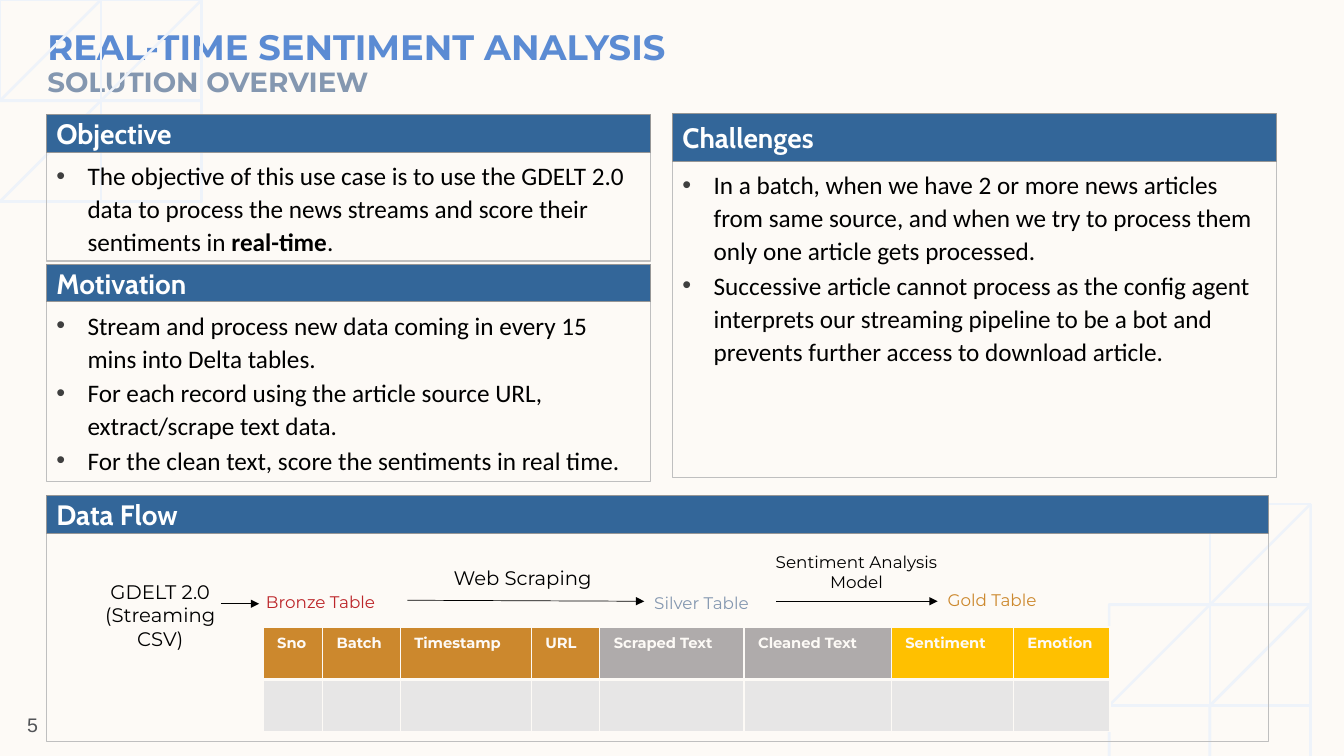
import math
from lxml import etree
from pptx import Presentation
from pptx.dml.color import RGBColor
from pptx.enum.shapes import MSO_CONNECTOR, MSO_SHAPE
from pptx.enum.text import MSO_ANCHOR, MSO_AUTO_SIZE, PP_ALIGN
from pptx.oxml import parse_xml
from pptx.oxml.ns import nsdecls, qn
from pptx.util import Inches, Pt

RECTANGLE = MSO_SHAPE.RECTANGLE
STRAIGHT = MSO_CONNECTOR.STRAIGHT
TOP, MIDDLE = MSO_ANCHOR.TOP, MSO_ANCHOR.MIDDLE
LEFT, CENTER = PP_ALIGN.LEFT, PP_ALIGN.CENTER
CREAM, BLACK, WHITE = "FDFAF6", "000000", "FFFFFF"
BRONZE, SILVER, GOLD = "CC882D", "AFABAB", "FFC000"
STEEL = "8497B0"
GRID_COLUMNS, GRID_ROWS = 1333, 750  # one grid cell is 0.01 inch

color = RGBColor.from_string


def grid(*cells):
    return [Inches(cell / 100) for cell in cells]


def write(box, lines, size, font, ink, bold=False, align=LEFT, anchor=TOP, bullets=False):
    """Fill a box with paragraphs; text between asterisks becomes bold."""
    frame = box.text_frame
    frame.word_wrap = True
    frame.vertical_anchor = anchor
    for number, line in enumerate(lines):
        para = frame.add_paragraph() if number else frame.paragraphs[0]
        para.alignment = align
        if bullets:
            properties = para._p.get_or_add_pPr()
            properties.set("marL", str(Inches(0.31)))
            properties.set("indent", str(-Inches(0.31)))
            properties.append(parse_xml(
                f'<a:buClr {nsdecls("a")}><a:srgbClr val="3F3F3F"/></a:buClr>'))
            properties.append(parse_xml(f'<a:buFont {nsdecls("a")} typeface="Arial"/>'))
            properties.append(parse_xml(f'<a:buChar {nsdecls("a")} char="•"/>'))
            para.line_spacing = 1.1
            if number:
                para.space_before = Pt(0.8)
        para.font.size, para.font.name, para.font.bold = Pt(size), font, bold
        para.font.color.rgb = color(ink)
        for part, words in enumerate(line.split("*")):
            span = para.add_run()
            span.text = words
            if part % 2:
                span.font.bold = True


deck = Presentation()
deck.slide_width, deck.slide_height = grid(GRID_COLUMNS, GRID_ROWS)
page = deck.slides.add_slide(deck.slide_layouts[5])
page.background.fill.solid()
page.background.fill.fore_color.rgb = color(CREAM)

# Rings in the top left and bottom right corners, one outline per corner
for corner_x, corner_y, turn in ((0, 0, 1), (13.33, 7.5, -1)):
    builder = None
    for ring in range(17):
        radius = 2.45 - 0.134 * ring
        start = math.asin(0.16 / radius)
        steps = 8 - ring // 3
        points = []
        for step in range(steps + 1):
            angle = start + (math.pi / 2 - start) * step / steps
            points.append((corner_x + turn * radius * math.cos(angle),
                           corner_y + turn * (radius * math.sin(angle) - 0.16)))
        if builder:
            builder.move_to(*points[0])
        else:
            builder = page.shapes.build_freeform(*points[0], scale=Inches(1))
        builder.add_line_segments(points[1:], close=False)
    rings = builder.convert_to_shape()
    rings.fill.background()
    rings.line.color.rgb = color("EEF3FA")
    rings.line.width = Pt(1.8)
    rings.shadow.inherit = False

# Title
title = page.shapes.title
title.left, title.top, title.width, title.height = grid(37, 25, 1167, 84)
title.text_frame.auto_size = MSO_AUTO_SIZE.NONE
write(title, ["REAL-TIME SENTIMENT ANALYSIS", "SOLUTION OVERVIEW"],
      25.2, "Montserrat", "5B8BD3", bold=True)
for para in title.text_frame.paragraphs:
    para.line_spacing = 0.9
para.font.size = Pt(19.8)
para.font.color.rgb = color(STEEL)

# Panels: heading, left, top, width, heading height, body height, bullets
panels = [
    ("Challenges", 667, 113, 599, 47, 314, [
        "In a batch, when we have 2 or more news articles from same source, "
        "and when we try to process them only one article gets processed.",
        "Successive article cannot process as the config agent interprets our "
        "streaming pipeline to be a bot and prevents further access to download article."]),
    ("Objective", 46, 114, 599, 37, 108, [
        "The objective of this use case is to use the GDELT 2.0 data to process "
        "the news streams and score their sentiments in *real-time*."]),
    ("Motivation", 46, 262, 599, 37.5, 178, [
        "Stream and process new data coming in every 15 mins into Delta tables.",
        "For each record using the article source URL, extract/scrape text data.",
        "For the clean text, score the sentiments in real time."]),
    ("Data Flow", 46, 492, 1212, 37, 207, []),
]
for heading, left, top, width, head_height, body_height, bullets in panels:
    panel = page.shapes.add_group_shape()
    body = panel.shapes.add_shape(
        RECTANGLE, *grid(left, top + head_height, width, body_height))
    head = panel.shapes.add_shape(RECTANGLE, *grid(left, top, width, head_height))
    for box, edge in ((body, "BFBFBF"), (head, "969696")):
        box.shadow.inherit = False
        box.line.color.rgb = color(edge)
        box.line.width = Pt(0.75)
    body.fill.background()
    head.fill.solid()
    head.fill.fore_color.rgb = color("336699")
    write(head, [heading], 20, "Cabin", WHITE, bold=True, anchor=MIDDLE)
    if bullets:
        write(body, bullets, 18, "Calibri", BLACK, bullets=True)

# Table of the columns that each stage adds
columns = [("Sno", 59, BRONZE), ("Batch", 77, BRONZE), ("Timestamp", 130, BRONZE),
           ("URL", 68, BRONZE), ("Scraped Text", 143, SILVER),
           ("Cleaned Text", 146, SILVER), ("Sentiment", 121, GOLD), ("Emotion", 96, GOLD)]
table = page.shapes.add_table(2, len(columns), *grid(261, 622, 840, 104)).table
for column, (name, width, stage) in enumerate(columns):
    table.columns[column].width = grid(width)[0]
    for row, fill in enumerate((stage, "E7E6E6")):
        cell = table.cell(row, column)
        thick_side = "lnT" if row else "lnB"
        for side in ("lnL", "lnR", "lnT", "lnB"):
            weight = Pt(3 if side == thick_side else 1)
            cell._tc.get_or_add_tcPr().append(parse_xml(
                f'<a:{side} {nsdecls("a")} w="{weight}"><a:solidFill>'
                f'<a:srgbClr val="{CREAM}"/></a:solidFill></a:{side}>'))
        cell.fill.solid()
        cell.fill.fore_color.rgb = color(fill)
    header = table.cell(0, column)
    header.margin_left = header.margin_right = Inches(0.14)
    header.margin_top = header.margin_bottom = Inches(0.07)
    para = header.text_frame.paragraphs[0]
    para.text = name
    para.font.size, para.font.name, para.font.bold = Pt(10.5), "Montserrat", True
    para.font.color.rgb = color(CREAM)

# Stage names and step labels
labels = [
    (["Bronze Table"], (254, 582, 150, 27), 12, "BC2529", LEFT),
    (["Silver Table"], (639, 583, 131, 27), 12, STEEL, LEFT),
    (["Gold Table"], (930, 580, 120, 33), 12, BRONZE, LEFT),
    (["Web Scraping"], (440, 557, 176, 34), 14, BLACK, LEFT),
    (["Sentiment Analysis Model"], (752, 542, 195, 50), 12, BLACK, CENTER),
    (["GDELT 2.0", "(Streaming CSV)"], (71, 570, 176, 81), 14, BLACK, CENTER),
]
boxes = []
for lines, place, size, ink, align in labels:
    box = page.shapes.add_textbox(*grid(*place))
    write(box, lines, size, "Montserrat", ink, align=align)
    boxes.append(box)
bronze, silver, gold = boxes[:3]

# Arrows between the stages
arrows = [((219, 599, 257, 599), None, None),
          ((404, 596, 639, 597), bronze, silver),
          ((770, 597, 930, 597), silver, gold)]
for ends, source, target in arrows:
    arrow = page.shapes.add_connector(STRAIGHT, *grid(*ends))
    if source:
        arrow.begin_connect(source, 3)
        arrow.end_connect(target, 1)
    arrow.line.color.rgb = color(BLACK)
    arrow.line.width = Pt(0.5)
    etree.SubElement(arrow.line._get_or_add_ln(), qn("a:tailEnd"), type="triangle")
    etree.SubElement(arrow._element.spPr, qn("a:effectLst"))

# Page number
number_box = page.shapes.add_textbox(*grid(27, 707, 24, 24))
write(number_box, ["5"], 14, "Arial", "525457", anchor=MIDDLE)
frame = number_box.text_frame
frame.word_wrap = False
frame.margin_left = frame.margin_right = frame.margin_top = frame.margin_bottom = 0

deck.save("out.pptx")
